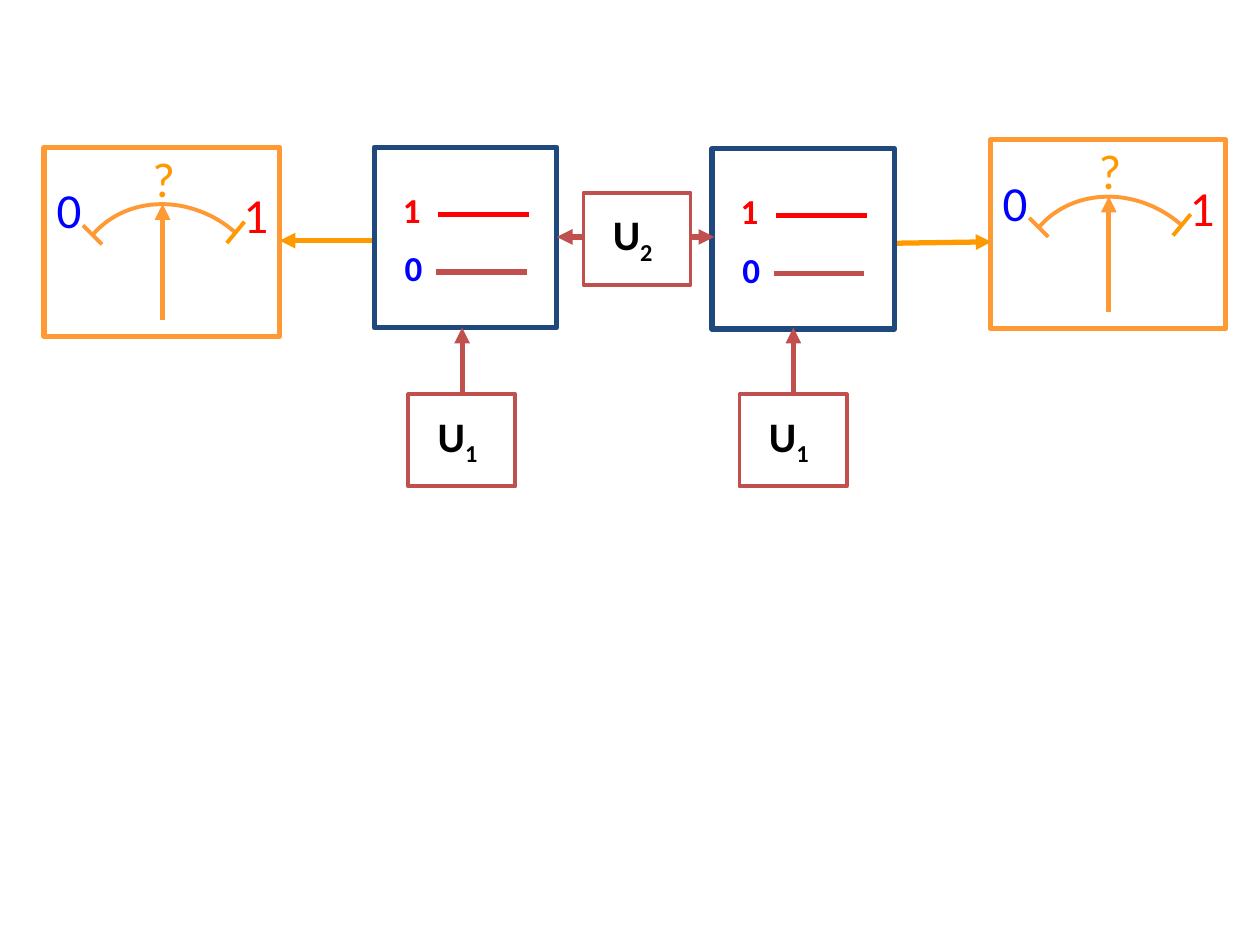
"""Build a slide with two coupled two-level systems, their pulses and readout meters."""
from lxml import etree
from pptx import Presentation
from pptx import util as u
from pptx.dml.color import RGBColor
from pptx.enum import shapes, text
from pptx.oxml.ns import qn

BLUE, RED, BROWN, NAVY = "0000FF", "FF0000", "C0504D", "1F497D"
ORANGE, AMBER = "FF9933", "FF9900"

deck = Presentation()
deck.slide_width, deck.slide_height = u.Pt(720), u.Pt(540)
page = deck.slides.add_slide(deck.slide_layouts[6])


def draw(kind, x, y, x2, y2, colour, weight=3, fill=None, ends=()):
    """Add a rectangle (x2, y2 are its size) or a line (x2, y2 are its end)."""
    lengths = [u.Pt(value) for value in (x, y, x2, y2)]
    if kind == "line":
        shape = page.shapes.add_connector(shapes.MSO_CONNECTOR.STRAIGHT, *lengths)
    else:
        shape = page.shapes.add_shape(shapes.MSO_SHAPE.RECTANGLE, *lengths)
        shape.fill.background()
        if fill:
            shape.fill.solid()
            shape.fill.fore_color.rgb = RGBColor.from_string(fill)
    shape.line.color.rgb = RGBColor.from_string(colour)
    shape.line.width = u.Pt(weight)
    properties = shape.element.spPr
    for end in ends:
        etree.SubElement(properties.find(qn("a:ln")), qn(f"a:{end}"), type="triangle")
    etree.SubElement(properties, qn("a:effectLst"))


def write(x, y, width, height, words, size, colour, bold=False, centred=False):
    """Add a label; a second word is set as a subscript."""
    box = page.shapes.add_textbox(u.Pt(x), u.Pt(y), u.Pt(width), u.Pt(height))
    box.text_frame.word_wrap = False
    box.text_frame.auto_size = text.MSO_AUTO_SIZE.SHAPE_TO_FIT_TEXT
    para = box.text_frame.paragraphs[0]
    para.alignment = text.PP_ALIGN.CENTER if centred else text.PP_ALIGN.LEFT
    for index, word in enumerate(words):
        span = para.add_run()
        span.text = word
        span.font.name, span.font.size, span.font.bold = "Calibri", u.Pt(size), bold
        span.font.color.rgb = RGBColor.from_string(colour)
        if index:
            span.font._element.set("baseline", "-25000")


draw("line", 511.9, 139, 566.6, 138.2, AMBER, ends=["tailEnd"])
draw("line", 213.1, 137.5, 159.8, 137.5, AMBER, ends=["tailEnd"])

for left, top in [(25.2, 84.2), (565.9, 79.9)]:
    draw("box", left, top, 134.6, 108, ORANGE)
    draw("line", left + 67.7, top + 98.6, left + 67.7, top + 32.4, ORANGE, ends=["tailEnd"])
    draw("line", left + 22.3, top + 44.6, left + 33.1, top + 55.4, ORANGE, 2.25)
    draw("line", left + 104.4, top + 54.7, left + 114.5, top + 42.5, AMBER, 2.25)

    controls = [(28, 49.7), (47.5, 27.4), (83.5, 26.6), (108.7, 48.2)]
    points = []
    for step in range(33):
        t = step / 32
        weights = [(1 - t) ** 3, 3 * t * (1 - t) ** 2, 3 * t * t * (1 - t), t ** 3]
        x = left + sum(w * control[0] for w, control in zip(weights, controls))
        y = top + sum(w * control[1] for w, control in zip(weights, controls))
        points.append((u.Pt(x), u.Pt(y)))
    outline = page.shapes.build_freeform(*points[0])
    outline.add_line_segments(points[1:], close=False)
    dial = outline.convert_to_shape()
    dial.shadow.inherit = False
    dial.fill.background()
    dial.line.color.rgb = RGBColor.from_string(ORANGE)
    dial.line.width = u.Pt(2.25)

    for word, x, y, colour in [("0", 0, 15.1, BLUE), ("1", 105.8, 18, RED), ("?", 53.3, -2.9, AMBER)]:
        write(left + x, top + y, 30.2, 41, [word], 28, colour, centred=word != "0")

for left, top in [(213.8, 84.2), (406.8, 85)]:
    draw("box", left, top, 104.4, 103, NAVY, fill="FFFFFF")
    for word, x, y, start, level, ink, colour in [
        ("1", 9.4, 19.8, 36.7, 38.2, RED, RED),
        ("0", 10.4, 53.3, 35.3, 71.3, BLUE, BROWN),
    ]:
        draw("line", left + start, top + level, left + start + 51.8, top + level, colour)
        write(left + x, top + y, 24.5, 31.7, [word], 20, ink, bold=True)

draw("line", 318.2, 135.4, 408.2, 135.4, BROWN, ends=["headEnd", "tailEnd"])

for left, top, number in [(233.3, 225.4, "1"), (422.6, 225.4, "1"), (333.4, 110.2, "2")]:
    draw("box", left, top, 61.2, 52.6, BROWN, 2.25, fill="FFFFFF")
    write(left + 9.7, top + 5.5, 38.2, 36, ["U", number], 24, "000000", bold=True)
    if number == "1":
        draw("line", left + 30.8, top, left + 30.8, 187.2, BROWN, ends=["tailEnd"])

deck.save("out.pptx")
